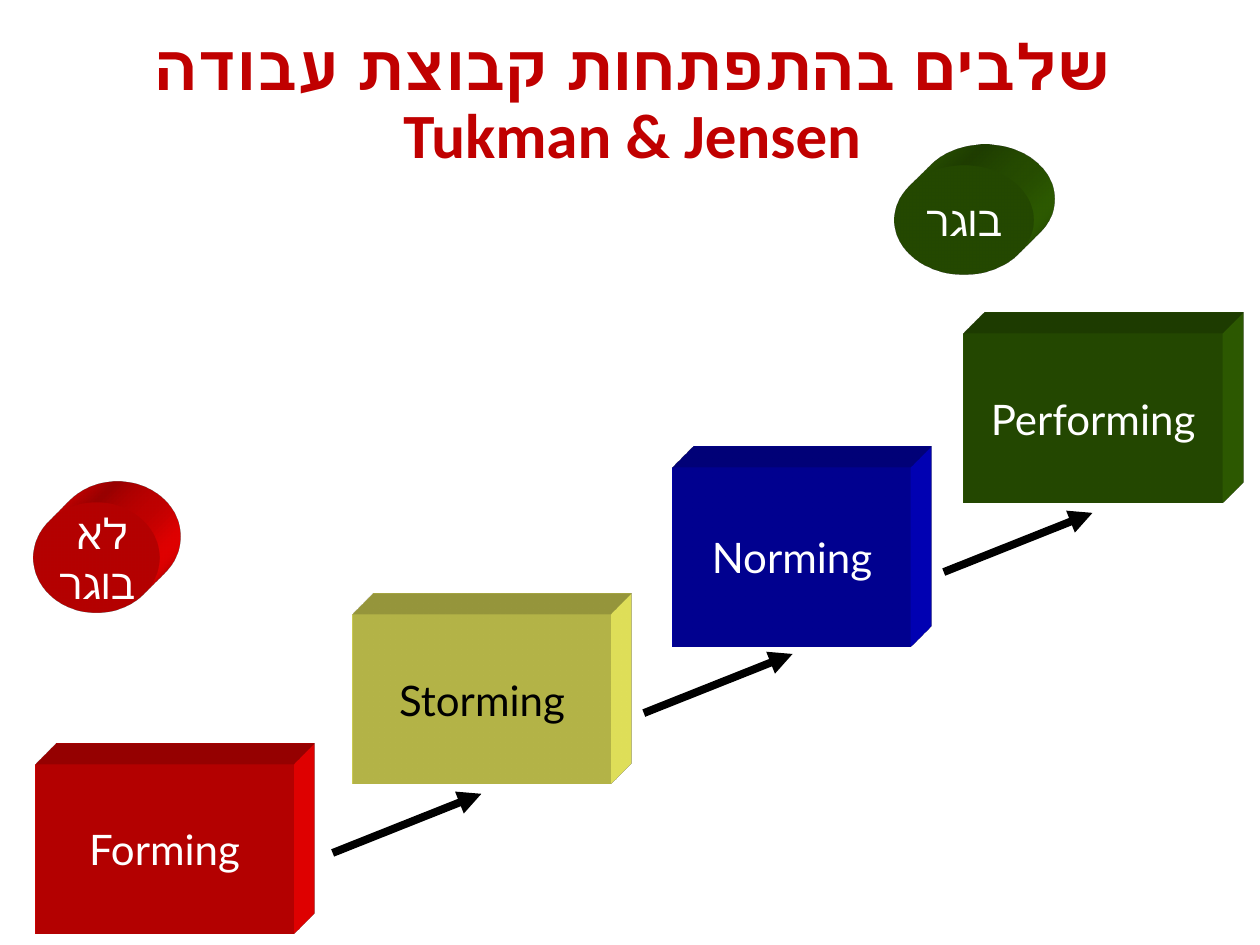
"""Builds a slide on the stages of work group development."""
from lxml.etree import SubElement
from pptx import Presentation
from pptx.dml.color import RGBColor
from pptx.enum.shapes import MSO_CONNECTOR as Connector, MSO_SHAPE as Shape
from pptx.enum.text import MSO_ANCHOR as Anchor, MSO_AUTO_SIZE as AutoSize, PP_ALIGN as Align
from pptx.oxml import parse_xml
from pptx.oxml.ns import nsdecls, qn
from pptx.util import Pt

COLORS = {
    "title": "C00000",
    "red": "FF0000",
    "yellow": "FFFF66",
    "blue": "0000CC",
    "green": "336600",
    "white": "FFFFFF",
    "black": "000000",
}
STAGES = [
    ("Forming", 20.2, 437, 147.6, 96.5, "red", "white"),
    ("Storming", 201.6, 351.4, 147.6, 96.5, "yellow", "black"),
    ("Norming", 384.5, 267.1, 136.1, 102.2, "blue", "white"),
    ("Performing", 550.8, 190.8, 147.6, 96.5, "green", "white"),
]
MATURITY = [
    (["בוגר"], 511.2, 94.3, 79.2, 62.6, "green"),
    (["לא ", "בוגר"], 19.4, 287.3, 72, 62.6, "red"),
]
STEP_STARTS = [(190.1, 487.4), (367.9, 407.5), (539.3, 326.9)]
STEP_RUN, STEP_RISE = 85, 33.8


class StageSlide:
    """Holds the style and the slide being drawn."""

    def __init__(self, deck):
        self.slide = deck.slides.add_slide(deck.slide_layouts[5])
        self.title_font, self.title_size = "Calibri", 36
        self.body_font, self.body_size = "Lato", 24

    def color(self, name):
        """Returns a palette colour."""
        return RGBColor.from_string(COLORS[name])

    def center(self, paragraph):
        """Centres a right-to-left paragraph."""
        paragraph.alignment = Align.CENTER
        paragraph._p.get_or_add_pPr().set("rtl", "1")

    def add_words(self, paragraph, text, font, size, color, bold=False):
        """Adds one styled run."""
        run = paragraph.add_run()
        run.text = text
        run.font.name, run.font.size, run.font.bold = font, Pt(size), bold
        run.font.color.rgb = self.color(color)

    def title(self, lines, left, top, width, height):
        """Fills the title placeholder, one line per text."""
        heading = self.slide.shapes.title
        heading.left, heading.top, heading.width, heading.height = map(Pt, (left, top, width, height))
        frame = heading.text_frame
        frame.vertical_anchor, frame.auto_size = Anchor.MIDDLE, AutoSize.NONE
        paragraph = frame.paragraphs[0]
        self.center(paragraph)
        paragraph.line_spacing = 0.9
        for index, line in enumerate(lines):
            if index:
                paragraph.add_line_break()
            self.add_words(paragraph, line, self.title_font, self.title_size, "title", True)

    def block(self, kind, lines, left, top, width, height, fill, ink="white"):
        """Draws an extruded shape with centred text."""
        solid = self.slide.shapes.add_shape(kind, *map(Pt, (left, top, width, height)))
        solid.shadow.inherit = False
        solid.fill.solid()
        solid.fill.fore_color.rgb = self.color(fill)
        solid.line.fill.background()
        self.extrude(solid, fill)
        frame = solid.text_frame
        frame.word_wrap, frame.vertical_anchor = False, Anchor.MIDDLE
        for index, line in enumerate(lines):
            paragraph = frame.add_paragraph() if index else frame.paragraphs[0]
            self.center(paragraph)
            self.add_words(paragraph, line, self.body_font, self.body_size, ink)

    def extrude(self, solid, fill):
        """Gives a shape depth towards the top right."""
        properties = solid._element.spPr
        properties.append(parse_xml(
            f'<a:scene3d {nsdecls("a")}><a:camera prst="legacyObliqueTopRight"/>'
            '<a:lightRig rig="legacyFlat3" dir="b"/></a:scene3d>'))
        properties.append(parse_xml(
            f'<a:sp3d {nsdecls("a")} extrusionH="430200" prstMaterial="legacyMatte">'
            '<a:bevelT w="13500" h="13500" prst="angle"/>'
            '<a:bevelB w="13500" h="13500" prst="angle"/>'
            f'<a:extrusionClr><a:srgbClr val="{COLORS[fill]}"/></a:extrusionClr></a:sp3d>'))

    def arrow(self, x, y, run, rise):
        """Draws a rising arrow."""
        step = self.slide.shapes.add_connector(
            Connector.STRAIGHT, Pt(x), Pt(y), Pt(x + run), Pt(y - rise))
        step.line.color.rgb = self.color("black")
        step.line.width = Pt(4.5)
        SubElement(step.line._get_or_add_ln(), qn("a:tailEnd"), type="triangle")
        SubElement(step._element.spPr, qn("a:effectLst"))


def main():
    """Draws the slide and saves it."""
    deck = Presentation()
    deck.slide_width, deck.slide_height = Pt(720), Pt(540)
    page = StageSlide(deck)
    page.title(["שלבים בהתפתחות קבוצת עבודה", "Tukman & Jensen"], 37.4, 14.4, 648, 90)
    for name, *look in STAGES:
        page.block(Shape.RECTANGLE, [name], *look)
    for words, *look in MATURITY:
        page.block(Shape.OVAL, words, *look)
    for x, y in STEP_STARTS:
        page.arrow(x, y, STEP_RUN, STEP_RISE)
    deck.save("out.pptx")


if __name__ == "__main__":
    main()
